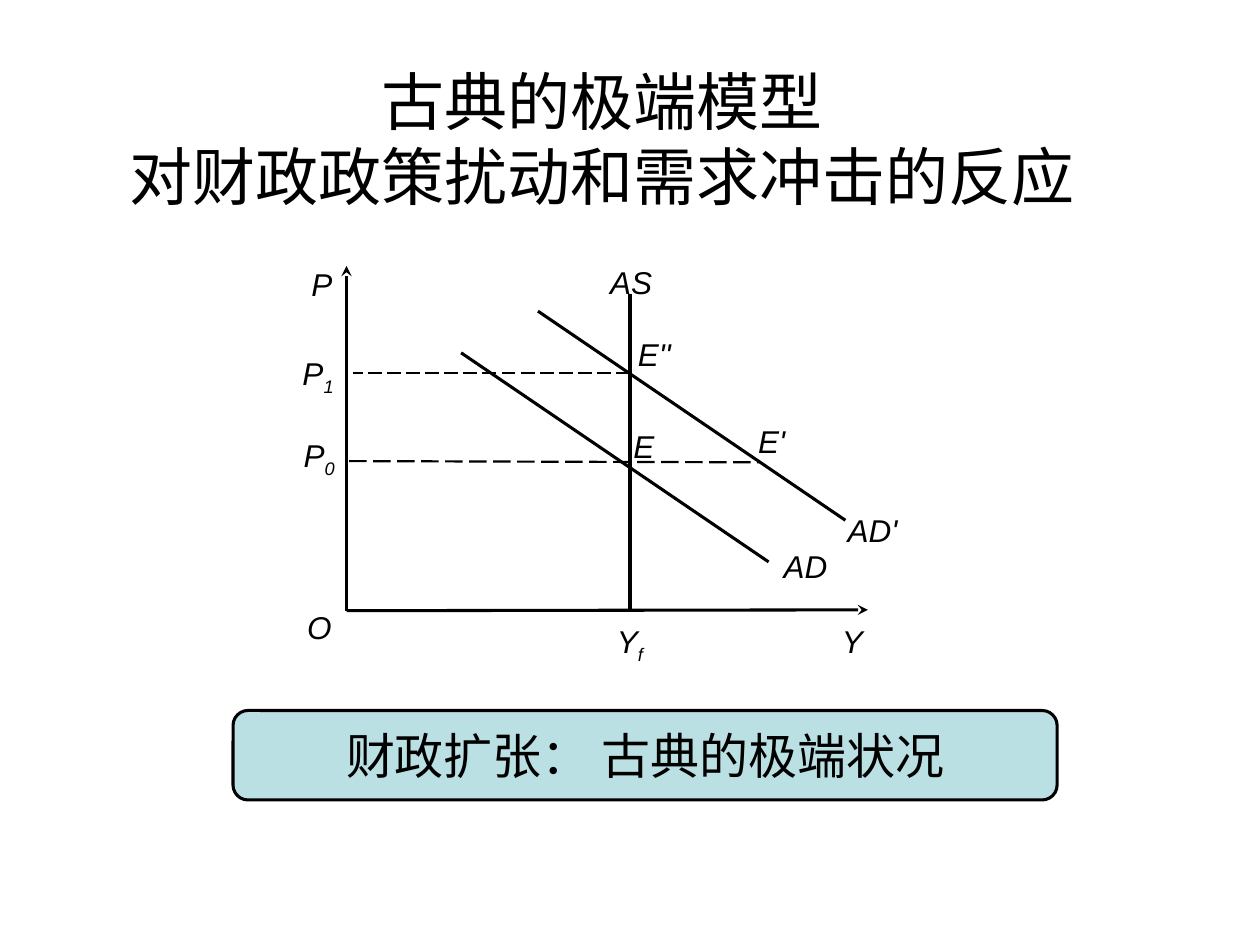
import pptx
import pptx.util
import pptx.dml.color
import pptx.enum.dml
import pptx.enum.shapes
import pptx.enum.text
import pptx.oxml.ns
from lxml import etree

Pt = pptx.util.Pt
RGB = pptx.dml.color.RGBColor.from_string
KIND = pptx.enum.shapes.MSO_SHAPE.ROUNDED_RECTANGLE
STRAIGHT = pptx.enum.shapes.MSO_CONNECTOR.STRAIGHT
qn = pptx.oxml.ns.qn

THEME = dict(font="Arial", ink="000000", panel="BBE0E3",
             title=36, note=28, label=18)

# Content
TITLE = "古典的极端模型\v对财政政策扰动和需求冲击的反应"
NOTE = "财政扩张： 古典的极端状况"
LEFT, BASE, FULL = 198, 349, 360    # price axis, output axis, full output
HIGH, LOW = 213, 264                # the two price levels
SHIFT = (43.9, -23.8)               # demand shock
DEMAND = (263.5, 201.6, 439.2, 321.1)
SHOCK = [v + SHIFT[i % 2] for i, v in enumerate(DEMAND)]

# start and end, weight, format
LINES = [
    ((LEFT, BASE, 496, 348.5), 1.75, dict(arrow=True)),
    ((LEFT, BASE, LEFT, 152), 1.75, dict(arrow=True)),
    ((FULL, 168, FULL, 348.5), 2.5, {}),
    ((199.5, LOW - 0.5, 433.5, LOW + 0.2), 1.25, dict(dash=True)),
    ((FULL, HIGH, 201.5, HIGH), 1, dict(dash=True)),
    (DEMAND, 1.75, {}),
    (SHOCK, 1.75, {}),
]

# text, subscript, centre, size
USUAL, SMALL = (31, 27.4), (26.6, 22.3)
LABELS = [
    ("Y", "f", (FULL, 367.6), (34.6, 13.7)),
    ("Y", "", (487.1, 366.1), SMALL),
    ("O", "", (182.5, 358.2), SMALL),
    ("P", "0", (182.5, 261.4), USUAL),
    ("P", "1", (181.8, 214.6), USUAL),
    ("P", "", (184, 162), USUAL),
    ("AS", "", (360.7, 161.3), (33.1, 27.4)),
    ("AD", "", (460.4, 323.3), USUAL),
    ("AD'", "", (498.6, 303.1), USUAL),
    ("E", "", (367.9, 254.9), (30.2, 25.9)),
    ("E'", "", (441, 252), USUAL),
    ("E''", "", (374, 202.3), USUAL),
]


def write(shape, text, size, sub="", italic=False, wrap=False):
    frame = shape.text_frame
    frame.word_wrap = wrap
    frame.auto_size = pptx.enum.text.MSO_AUTO_SIZE.NONE
    frame.vertical_anchor = pptx.enum.text.MSO_ANCHOR.MIDDLE
    para = frame.paragraphs[0]
    para.text = text
    para.alignment = pptx.enum.text.PP_ALIGN.CENTER
    if sub:
        para.add_run().text = sub
    for run in para.runs:
        run.font.name = THEME["font"]
        run.font.size = Pt(size)
        run.font.italic = italic
        run.font.color.rgb = RGB(THEME["ink"])
    if sub:
        para.runs[-1].font._element.set("baseline", "-25000")


def add_box(slide, left, top, width, height):
    box = slide.shapes.add_shape(KIND, Pt(left), Pt(top), Pt(width), Pt(height))
    box.shadow.inherit = False
    box.fill.background()
    box.line.fill.background()
    return box


def add_line(slide, ends, weight, arrow=False, dash=False):
    link = slide.shapes.add_connector(STRAIGHT, *[Pt(v) for v in ends])
    link.line.width = Pt(weight)
    link.line.color.rgb = RGB(THEME["ink"])
    if dash:
        link.line.dash_style = pptx.enum.dml.MSO_LINE.LONG_DASH
    props = link._element.spPr
    if arrow:
        etree.SubElement(props.find(qn("a:ln")), qn("a:tailEnd"), type="stealth")
    etree.SubElement(props, qn("a:effectLst"))


def main():
    deck = pptx.Presentation()
    deck.slide_width, deck.slide_height = Pt(720), Pt(540)
    slide = deck.slides.add_slide(deck.slide_layouts[5])

    # Title, raised inside its box by a deep bottom margin
    title = slide.shapes.title
    title.left, title.top, title.width, title.height = Pt(20), Pt(65.5), Pt(648), Pt(67.7)
    write(title, TITLE, THEME["title"], wrap=True)
    title.text_frame.margin_bottom = Pt(45)

    # Caption panel
    panel = add_box(slide, 133.2, 406, 470.9, 51.1)
    panel.fill.solid()
    panel.fill.fore_color.rgb = RGB(THEME["panel"])
    panel.line.color.rgb = RGB(THEME["ink"])
    panel.line.width = Pt(1.75)
    write(panel, NOTE, THEME["note"])

    # Axes, curves and price levels
    for ends, weight, style in LINES:
        add_line(slide, ends, weight, **style)

    # Labels
    for text, sub, (x, y), (wide, high) in LABELS:
        box = add_box(slide, x - wide / 2, y - high / 2, wide, high)
        write(box, text, THEME["label"], sub=sub, italic=True)

    deck.save("out.pptx")


if __name__ == "__main__":
    main()
